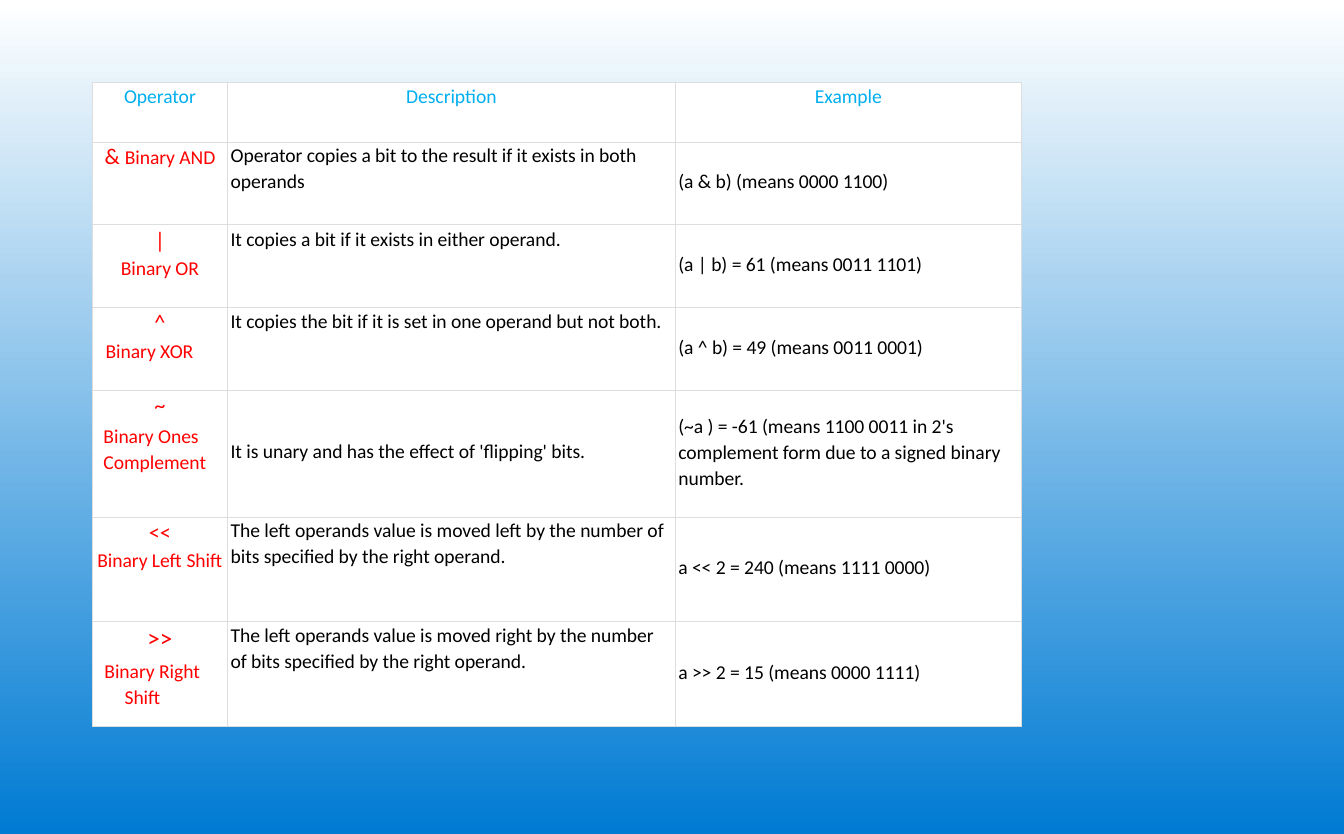
from lxml import etree
from pptx import Presentation
from pptx.dml.color import RGBColor
from pptx.enum.text import PP_ALIGN
from pptx.oxml.ns import qn
from pptx.util import Pt

CENTER, LEFT = PP_ALIGN.CENTER, PP_ALIGN.LEFT
BLUE = RGBColor(0x00, 0x7B, 0xD3)
WHITE = RGBColor(0xFF, 0xFF, 0xFF)
CYAN = RGBColor(0x00, 0xAF, 0xEF)
RED = RGBColor(0xFF, 0x00, 0x00)
BLACK = RGBColor(0x00, 0x00, 0x00)
BORDER = RGBColor(0xDD, 0xDD, 0xDD)

PAGE_SIZE = (960, 595.44)
TABLE_BOX = (66, 58.5)
COLUMN_WIDTHS = (96.6, 319.8, 247.4)
ROW_HEIGHTS = (43, 59, 59, 59, 90.7, 74.7, 74.7)
HEADERS = ("Operator", "Description", "Example")

CENTERED = {"alignment": CENTER}
BODY = {"alignment": LEFT}
SPACED = {"alignment": LEFT, "line_spacing": 1.09}


def named(symbol, name, symbol_size=16, left=None, hanging=0, **format_values):
    name_format = dict(CENTERED if left is None else BODY, space_before=Pt(2), **format_values)
    return [([(symbol, symbol_size)], CENTERED, 0, 0),
            ([(name, 14)], name_format, left or 0, hanging)]


OPERATORS = (
    (1, [([("& ", 16), ("Binary AND", 14)], CENTERED, 0, 0)]),
    (1.5, named("|", "Binary OR")),
    (1.5, named("^", "Binary XOR", left=9.4)),
    (1.5, named("~", "Binary Ones Complement", left=7.9, line_spacing=1.1)),
    (1.5, named("<<", "Binary Left Shift")),
    (1.5, named(">>", "Binary Right Shift", 18, 23, -14.4, line_spacing=1.1)),
)
DESCRIPTIONS = (
    (0, SPACED, "Operator copies a bit to the result if it exists in both operands"),
    (2, BODY, "It copies a bit if it exists in either operand."),
    (2, BODY, "It copies the bit if it is set in one operand but not both."),
    (35.5, BODY, "It is unary and has the effect of 'flipping' bits."),
    (0, SPACED, "The left operands value is moved left by the number of "
                "bits specified by the right operand."),
    (0, SPACED, "The left operands value is moved right by the number of "
                "bits specified by the right operand."),
)
EXAMPLES = (
    (20, BODY, "(a & b) (means 0000 1100)"),
    (20, BODY, "(a | b) = 61 (means 0011 1101)"),
    (20, BODY, "(a ^ b) = 49 (means 0011 0001)"),
    (16.5, SPACED, "(~a ) = -61 (means 1100 0011 in 2's complement form "
                   "due to a signed binary number."),
    (28, BODY, "a << 2 = 240 (means 1111 0000)"),
    (28, BODY, "a >> 2 = 15 (means 0000 1111)"),
)


def set_values(target, values):
    for name, value in values.items():
        setattr(target, name, value)


def add_borders(cell):
    properties = cell._tc.get_or_add_tcPr()
    for index, side in enumerate(("a:lnL", "a:lnR", "a:lnT", "a:lnB")):
        line = etree.Element(qn(side), w=str(Pt(0.5)))
        fill = etree.SubElement(line, qn("a:solidFill"))
        etree.SubElement(fill, qn("a:srgbClr"), val=str(BORDER))
        properties.insert(index, line)


def fill_cell(cell, paragraphs, color, top, left=0, right=0):
    set_values(cell, {"margin_left": Pt(left), "margin_right": Pt(right),
                      "margin_top": Pt(top), "margin_bottom": 0})
    cell.fill.solid()
    cell.fill.fore_color.rgb = WHITE
    add_borders(cell)
    frame = cell.text_frame
    for index, (spans, format_values, indent, hanging) in enumerate(paragraphs):
        para = frame.add_paragraph() if index else frame.paragraphs[0]
        set_values(para, format_values)
        properties = para._p.get_or_add_pPr()
        properties.set("marL", str(Pt(indent)))
        properties.set("indent", str(Pt(hanging)))
        for text, size in spans:
            span = para.add_run()
            span.text = text
            set_values(span.font, {"name": "Calibri", "size": Pt(size), "bold": False})
            span.font.color.rgb = color
            span._r.get_or_add_rPr().set("spc", "-5")


def paint_background(page):
    fill = page.background.fill
    fill.gradient()
    fill.gradient_angle = 90
    for stop, color in zip(fill.gradient_stops, (BLUE, WHITE)):
        stop.color.rgb = color


def add_operator_table(page, left, top):
    table = page.shapes.add_table(
        len(ROW_HEIGHTS), len(COLUMN_WIDTHS), Pt(left), Pt(top),
        Pt(sum(COLUMN_WIDTHS)), Pt(sum(ROW_HEIGHTS))).table
    set_values(table, {"first_row": False, "horz_banding": False})
    for column, width in zip(table.columns, COLUMN_WIDTHS):
        column.width = Pt(width)
    for row, height in zip(table.rows, ROW_HEIGHTS):
        row.height = Pt(height)
    for column, header in enumerate(HEADERS):
        fill_cell(table.cell(0, column), [([(header, 14)], CENTERED, 0, 0)], CYAN, 2)
    for row, (inset, paragraphs) in enumerate(OPERATORS, 1):
        fill_cell(table.cell(row, 0), paragraphs, RED, inset)
    for column, entries in enumerate((DESCRIPTIONS, EXAMPLES), 1):
        for row, (inset, format_values, text) in enumerate(entries, 1):
            fill_cell(table.cell(row, column), [([(text, 14)], format_values, 0, 0)],
                      BLACK, inset, 2.2, 4)


def main():
    deck = Presentation()
    deck.slide_width, deck.slide_height = map(Pt, PAGE_SIZE)
    page = deck.slides.add_slide(deck.slide_layouts[6])
    paint_background(page)
    add_operator_table(page, *TABLE_BOX)
    deck.save("out.pptx")


if __name__ == "__main__":
    main()
